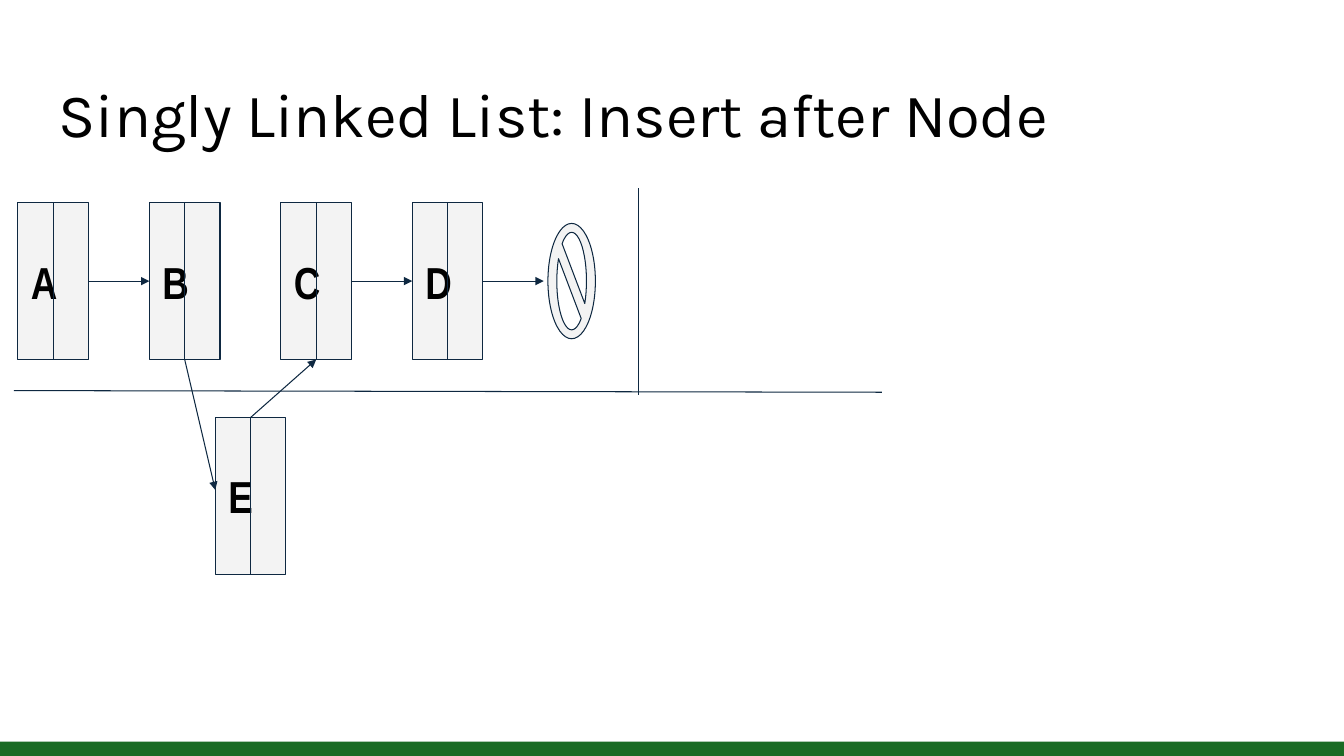
"""Build a slide showing the insertion of node E into a singly linked list."""

from dataclasses import dataclass

from pptx import Presentation
from pptx.dml.color import RGBColor
from pptx.enum.shapes import MSO_CONNECTOR as Connector, MSO_SHAPE as Preset
from pptx.enum.text import MSO_ANCHOR as Anchor, MSO_AUTO_SIZE as AutoSize, PP_ALIGN as Align
from pptx.oxml.ns import qn
from pptx.shapes.autoshape import Shape
from pptx.slide import Slide
from pptx.text.text import TextFrame
from pptx.util import Pt
from lxml.etree import SubElement


@dataclass(frozen=True)
class Theme:
    ink: RGBColor = RGBColor(0x00, 0x00, 0x00)
    outline: RGBColor = RGBColor(0x0E, 0x28, 0x41)
    node_fill: RGBColor = RGBColor(0xF3, 0xF3, 0xF3)
    footer: RGBColor = RGBColor(0x19, 0x6B, 0x24)
    title_font: str = "Karla"
    node_font: str = "Arial Narrow"
    title_size: float = 44
    node_size: float = 32
    line_width: float = 0.75
    inset: float = 9.36


@dataclass(frozen=True)
class Box:
    left: float
    top: float
    width: float
    height: float


@dataclass(frozen=True)
class Node:
    label: str
    left: float
    top: float
    width: float = 50.5
    height: float = 112

    @property
    def center(self) -> float:
        return self.left + self.width / 2

    @property
    def right(self) -> float:
        return self.left + self.width

    @property
    def middle(self) -> float:
        return self.top + self.height / 2

    @property
    def bottom(self) -> float:
        return self.top + self.height


@dataclass(frozen=True)
class Line:
    x1: float
    y1: float
    x2: float
    y2: float
    arrow: bool = False


THEME = Theme()
SLIDE_WIDTH, SLIDE_HEIGHT = 960, 540
NODE_PITCH = 93.9
NULL_MARK = Box(391.4, 159.6, 33.9, 82.4)
FOOTER = Box(0, 529.8, SLIDE_WIDTH, 10.2)
TITLE = Box(32.4, 46.8, 894.2, 74.2)


def format_text(frame: TextFrame, text: str, font: str, size: float, bold: bool) -> None:
    """Fill a text frame with one left-aligned, vertically centred paragraph."""
    frame.margin_left = frame.margin_right = Pt(THEME.inset)
    frame.margin_top = frame.margin_bottom = Pt(THEME.inset)
    frame.vertical_anchor = Anchor.MIDDLE
    frame.auto_size = AutoSize.NONE
    frame.word_wrap = True
    frame.text = text
    paragraph = frame.paragraphs[0]
    paragraph.alignment = Align.LEFT
    paragraph.font.name = font
    paragraph.font.size = Pt(size)
    paragraph.font.bold = bold
    paragraph.font.color.rgb = THEME.ink


def add_preset(slide: Slide, preset: Preset, box: Box | Node, fill: RGBColor, outlined: bool = True) -> Shape:
    """Add a filled preset shape with an optional outline."""
    shape = slide.shapes.add_shape(preset, Pt(box.left), Pt(box.top), Pt(box.width), Pt(box.height))
    shape.shadow.inherit = False
    shape.fill.solid()
    shape.fill.fore_color.rgb = fill
    if outlined:
        shape.line.color.rgb = THEME.outline
        shape.line.width = Pt(THEME.line_width)
    else:
        shape.line.fill.background()
    return shape


def add_line(slide: Slide, line: Line) -> None:
    """Add a thin straight line, with an arrowhead if asked for."""
    connector = slide.shapes.add_connector(
        Connector.STRAIGHT, Pt(line.x1), Pt(line.y1), Pt(line.x2), Pt(line.y2)
    )
    connector.line.color.rgb = THEME.outline
    connector.line.width = Pt(THEME.line_width)
    properties = connector.element.spPr
    SubElement(properties, qn("a:effectLst"))
    if line.arrow:
        SubElement(properties.find(qn("a:ln")), qn("a:tailEnd"), type="triangle")


def add_node(slide: Slide, node: Node) -> None:
    """Add a labelled list node split by a vertical divider."""
    shape = add_preset(slide, Preset.RECTANGLE, node, THEME.node_fill)
    format_text(shape.text_frame, node.label, THEME.node_font, THEME.node_size, True)
    add_line(slide, Line(node.center, node.top, node.center, node.bottom))


def add_title(slide: Slide, text: str) -> None:
    """Place and format the title placeholder."""
    title = slide.shapes.title
    title.left, title.top = Pt(TITLE.left), Pt(TITLE.top)
    title.width, title.height = Pt(TITLE.width), Pt(TITLE.height)
    format_text(title.text_frame, text, THEME.title_font, THEME.title_size, False)
    title.text_frame.paragraphs[0].line_spacing = 0.9


def main() -> None:
    """Build and save the presentation."""
    presentation = Presentation()
    presentation.slide_width, presentation.slide_height = Pt(SLIDE_WIDTH), Pt(SLIDE_HEIGHT)
    slide = presentation.slides.add_slide(presentation.slide_layouts[5])
    add_title(slide, "Singly Linked List: Insert after Node")
    add_preset(slide, Preset.RECTANGLE, FOOTER, THEME.footer, outlined=False)

    chain = [Node(label, 12.8 + NODE_PITCH * index, 144.8) for index, label in enumerate("ABCD")]
    node_a, node_b, node_c, node_d = chain
    inserted = Node("E", 153.8, 298.2)
    for node in [*chain, inserted]:
        add_node(slide, node)
    add_preset(slide, Preset.NO_SYMBOL, NULL_MARK, THEME.node_fill)

    links = [
        Line(node.right, node.middle, node.left + NODE_PITCH, node.middle, arrow=True)
        for node in (node_a, node_c, node_d)
    ]
    insertion = [
        Line(node_b.center, node_b.bottom, inserted.left, 350, arrow=True),
        Line(inserted.center, inserted.top, node_c.center, node_c.bottom, arrow=True),
    ]
    separators = [Line(455.9, 134.6, 455.9, 282), Line(10, 279, 630, 280.2)]
    for line in links + insertion + separators:
        add_line(slide, line)

    presentation.save("out.pptx")


if __name__ == "__main__":
    main()
